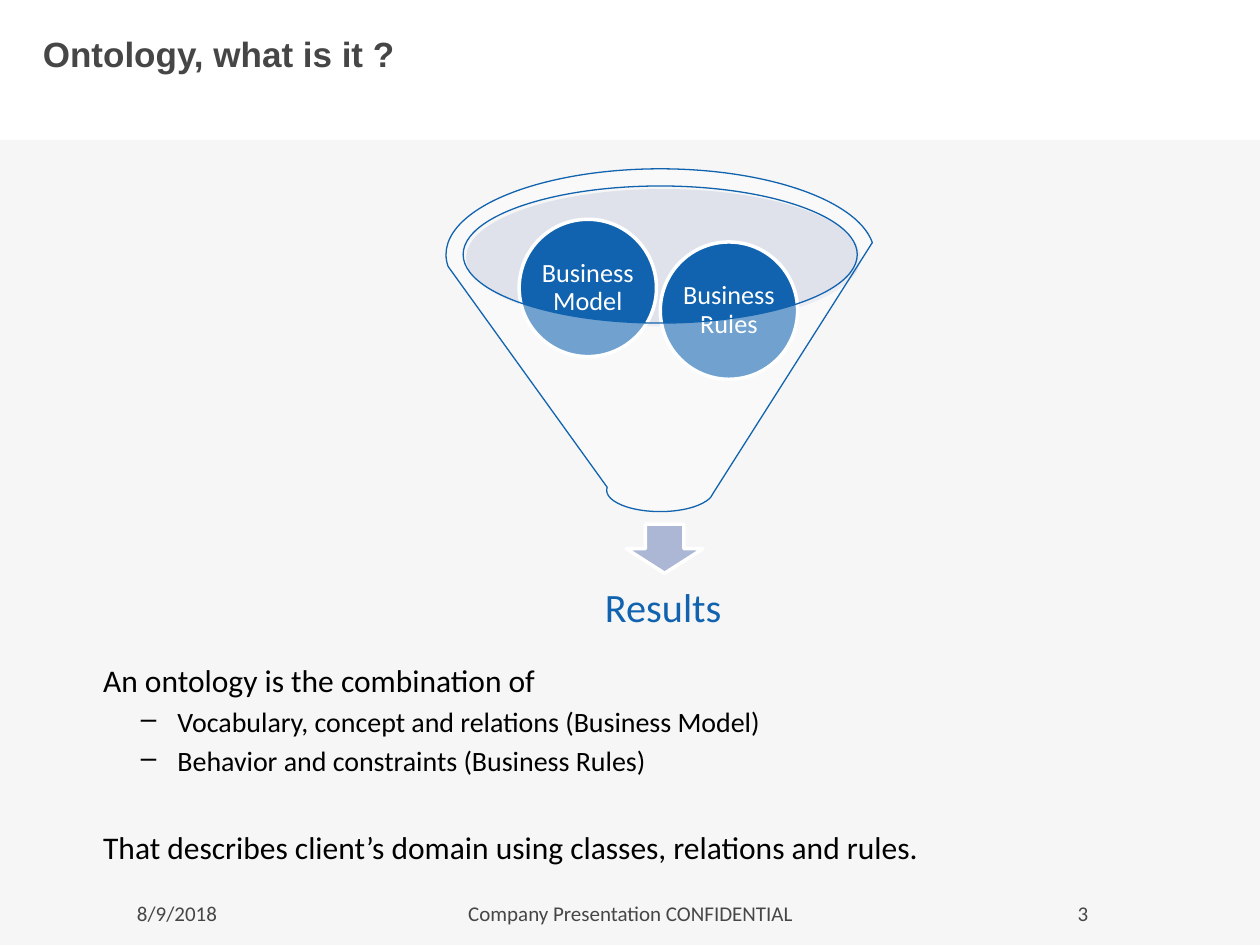
import pptx
import pptx.util
import pptx.dml.color
import pptx.enum.shapes
import pptx.enum.text
import pptx.oxml
import pptx.oxml.ns
import lxml.etree

Inches = pptx.util.Inches
Pt = pptx.util.Pt
SHAPE = pptx.enum.shapes.MSO_SHAPE
ALIGN = pptx.enum.text.PP_ALIGN
ANCHOR = pptx.enum.text.MSO_ANCHOR
RGB = pptx.dml.color.RGBColor.from_string
qn = pptx.oxml.ns.qn

colors = {
    "panel": "F3F3F3", "heading": "464646", "body": "000000", "white": "FFFFFF",
    "blue": "1163AF", "mouth": "BDC6DC", "arrow": "ABB7D4",
}

deck = pptx.Presentation()
deck.slide_width, deck.slide_height = Inches(10), Inches(7.5)
slide = deck.slides.add_slide(deck.slide_layouts[5])


def add_figure(kind, box, fill, opacity=100, outline=None, width=0):
    figure = slide.shapes.add_shape(kind, *map(Inches, box))
    figure.shadow.inherit = False
    figure.fill.solid()
    figure.fill.fore_color.rgb = RGB(colors[fill])
    if opacity < 100:
        tint = figure.fill._xPr.find(qn("a:solidFill"))[0]
        lxml.etree.SubElement(tint, qn("a:alpha")).set("val", str(opacity * 1000))
    if outline:
        figure.line.color.rgb = RGB(colors[outline])
        figure.line.width = Pt(width)
    else:
        figure.line.fill.background()
    return figure


def write(paragraph, wording, size, color, align=ALIGN.LEFT, font="Calibri", bold=False):
    paragraph.alignment = align
    run = paragraph.add_run()
    run.text = wording
    run.font.size = Pt(size)
    run.font.name = font
    run.font.bold = bold
    run.font.color.rgb = RGB(colors[color])


panel = add_figure(SHAPE.RECTANGLE, (0, 1.11, 10, 6.39), "panel", 72)
slide.shapes._spTree.remove(panel._element)
slide.shapes._spTree.insert(2, panel._element)

heading = slide.shapes.title
heading.left, heading.top, heading.width, heading.height = map(Inches, (0.24, 0.21, 7.75, 0.91))
heading.text_frame.vertical_anchor = ANCHOR.TOP
write(heading.text_frame.paragraphs[0], "Ontology, what is it ?", 20, "heading",
      font="Arial", bold=True)

for wording, left, width in (
    ("8/9/2018", 0.24, 2.33),
    ("Company Presentation CONFIDENTIAL", 3.42, 3.17),
    ("3", 7.43, 2.33),
):
    footer = slide.shapes.add_textbox(Inches(left), Inches(7.1), Inches(width), Inches(0.4))
    footer.text_frame.word_wrap = True
    write(footer.text_frame.paragraphs[0], wording, 12, "heading", ALIGN.CENTER)

definition = slide.shapes.add_textbox(*map(Inches, (0.72, 5.2, 8.31, 1.9))).text_frame
definition.word_wrap = True
for index, (wording, size, before, dashed) in enumerate((
    ("An ontology is the combination of", 18, 3.6, False),
    ("Vocabulary, concept and relations (Business Model)", 16, 3.2, True),
    ("Behavior and constraints (Business Rules)", 16, 3.2, True),
    ("That describes client\u2019s domain using classes, relations and rules.", 18, 29, False),
)):
    line = definition.add_paragraph() if index else definition.paragraphs[0]
    write(line, wording, size, "body")
    line.space_before = Pt(before)
    if dashed:
        line.level = 1
        properties = line._p.get_or_add_pPr()
        properties.set("marL", str(Inches(0.59)))
        properties.set("indent", str(Inches(-0.29)))
        lxml.etree.SubElement(properties, qn("a:buChar")).set("char", "\u2013")

add_figure(SHAPE.OVAL, (3.7, 1.5, 3.13, 1.09), "mouth", 40)
add_figure(SHAPE.DOWN_ARROW, (4.97, 4.16, 0.61, 0.39), "arrow", outline="white", width=2)

results = slide.shapes.add_textbox(*map(Inches, (3.81, 4.47, 2.91, 0.73))).text_frame
results.word_wrap = True
results.vertical_anchor = ANCHOR.MIDDLE
results.paragraphs[0].line_spacing = 0.9
write(results.paragraphs[0], "Results", 23, "blue", ALIGN.CENTER)

for wording, left, top in (("Business Rules", 5.24, 1.92), ("Business Model", 4.12, 1.74)):
    ingredient = add_figure(SHAPE.OVAL, (left, top, 1.09, 1.09), "blue", outline="white", width=2)
    label = ingredient.text_frame
    label.word_wrap = True
    label.vertical_anchor = ANCHOR.MIDDLE
    label.margin_left = label.margin_right = label.margin_top = label.margin_bottom = Inches(0.01)
    label.paragraphs[0].line_spacing = 0.9
    write(label.paragraphs[0], wording, 15, "white", ALIGN.CENTER)

add_figure(SHAPE.FUNNEL, (3.54, 1.34, 3.4, 2.72), "white", 40, "blue", 0.75)

deck.save("out.pptx")
